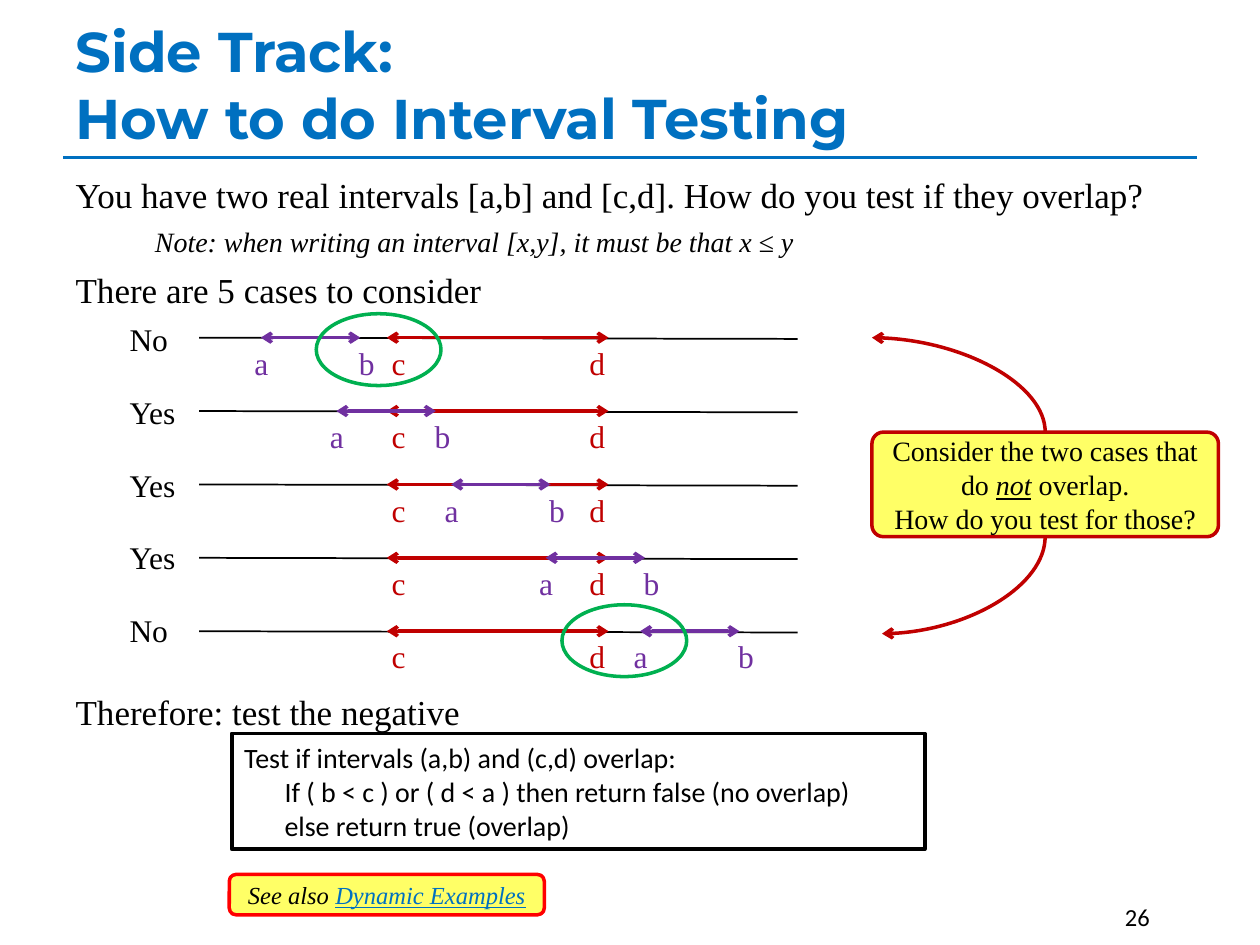
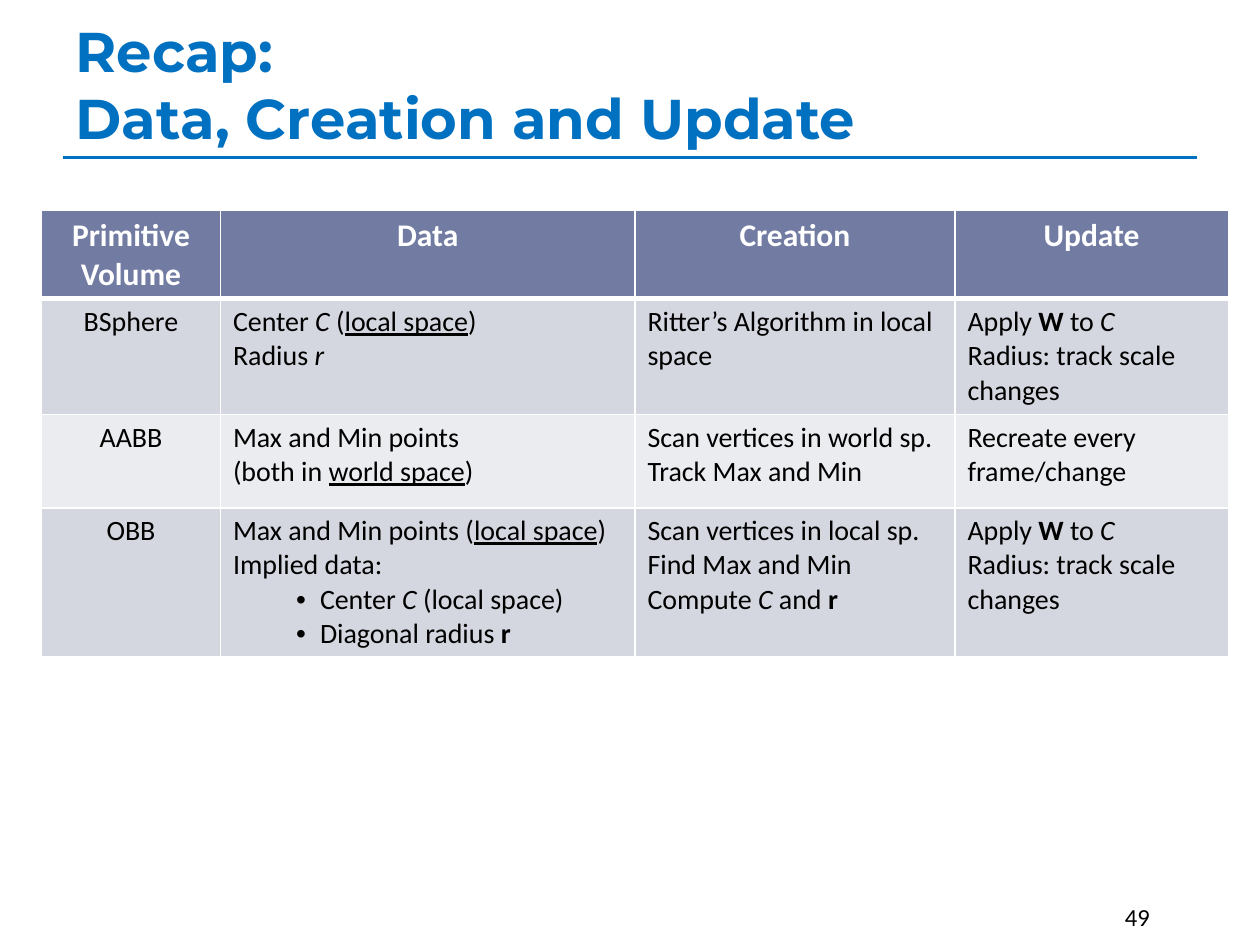
from dataclasses import dataclass, replace

from lxml.etree import SubElement
from pptx import Presentation
from pptx.dml.color import RGBColor
from pptx.enum.shapes import MSO_CONNECTOR as Connector, MSO_SHAPE as Shape
from pptx.enum.text import MSO_ANCHOR as Anchor, MSO_AUTO_SIZE as AutoSize, PP_ALIGN as Align
from pptx.oxml.ns import qn
from pptx.util import Inches, Pt


@dataclass(frozen=True)
class Style:
    """Typeface, size, colour and emphasis of a piece of text."""
    face: str
    size: int
    color: str = "000000"
    marks: str = ""


@dataclass(frozen=True)
class Theme:
    """Colours and type styles of the deck."""
    blue: str = "0070C0"
    red: str = "C00000"
    bright_red: str = "FF0000"
    purple: str = "7030A0"
    green: str = "00B050"
    yellow: str = "FFFF66"
    black: str = "000000"
    white: str = "FFFFFF"
    header_fill: str = "727CA3"
    row_fills: tuple = ("D5D7E0", "EBECF0")
    title: Style = Style("Montserrat", 32, "0070C0", "b")
    number: Style = Style("Calibri", 14)
    body: Style = Style("Times New Roman", 20)
    label: Style = Style("Times New Roman", 18)
    note: Style = Style("Times New Roman", 16)
    see_also: Style = Style("Times New Roman", 14, "000000", "i")
    code: Style = Style("Calibri", 16)
    header: Style = Style("Calibri", 18, "FFFFFF", "b")


@dataclass(frozen=True)
class Box:
    """A rectangle in inches."""
    left: float
    top: float
    width: float
    height: float

    def emu(self):
        """Return the four lengths as Inches."""
        return [Inches(v) for v in (self.left, self.top, self.width, self.height)]


THEME = Theme()
HEADING = Box(0.5, 0.17, 9.42, 1.08)
NUMBER = Box(8.83, 7.11, 0.67, 0.4)
HEADERS = ("Primitive Volume", "Data", "Creation", "Update")
TRACK = [("Apply ", ("W", "b"), " to ", ("C", "i")), ("Radius: track scale changes",)]
VOLUMES = [
    ([("BSphere",)],
     [("Center ", ("C", "i"), " (", ("local space", "u"), ")"), ("Radius ", ("r", "i"))],
     [("Ritter’s Algorithm in local space",)], TRACK),
    ([("AABB",)],
     [("Max and Min points",), ("(both in ", ("world space", "u"), ")")],
     [("Scan vertices in world sp. Track Max and Min",)],
     [("Recreate every frame/change",)]),
    ([("OBB",)],
     [("Max and Min points (", ("local space", "u"), ")"), ("Implied data:",),
      ("•", "Center ", ("C", "i"), " (local space)"),
      ("•", "Diagonal radius ", ("r", "b"))],
     [("Scan vertices in local sp. Find Max and Min",),
      ("Compute ", ("C", "i"), " and ", ("r", "b"))], TRACK),
]
CASES = [("No", 2.07), ("Yes", 2.67), ("Yes", 3.58), ("Yes", 4.33), ("No", 5.08)]


def rgb(color):
    """Turn a hex string into a colour."""
    return RGBColor.from_string(color)


def add_text(paragraph, piece, style):
    """Add one run in the given style."""
    run = paragraph.add_run()
    run.text = piece
    font = run.font
    font.name, font.size, font.color.rgb = style.face, Pt(style.size), rgb(style.color)
    font.bold, font.italic, font.underline = (mark in style.marks for mark in "biu")


def write(paragraph, pieces, style, align=Align.LEFT):
    """Fill a paragraph with plain pieces and (piece, marks) pairs."""
    paragraph.alignment = align
    for piece in pieces:
        if isinstance(piece, str):
            add_text(paragraph, piece, style)
        else:
            add_text(paragraph, piece[0], replace(style, marks=style.marks + piece[1]))


def paragraphs_for(frame, count):
    """Return the given number of paragraphs of an empty frame."""
    return [frame.paragraphs[0]] + [frame.add_paragraph() for _ in range(count - 1)]


def indent(paragraph, left=0.0, hanging=0.0, bullet=None):
    """Set the indent of a paragraph and its bullet, if any."""
    props = paragraph._p.get_or_add_pPr()
    props.set("marL", str(Inches(left)))
    props.set("indent", str(-Inches(hanging)))
    if bullet:
        SubElement(props, qn("a:buFont"), typeface="Arial")
        SubElement(props, qn("a:buChar"), char=bullet)
    else:
        SubElement(props, qn("a:buNone"))


def add_label(slide, box, piece, style):
    """Add a text box with one unwrapped line."""
    frame = slide.shapes.add_textbox(*box.emu()).text_frame
    frame.word_wrap = False
    write(frame.paragraphs[0], [piece], style)
    return frame


def add_panel(slide, kind, box, line, fill=None):
    """Add an outlined shape and return it."""
    panel = slide.shapes.add_shape(kind, *box.emu())
    panel.shadow.inherit = False
    panel.line.color.rgb, panel.line.width = rgb(line), Pt(2)
    if fill:
        panel.fill.solid()
        panel.fill.fore_color.rgb = rgb(fill)
    else:
        panel.fill.background()
    panel.text_frame.word_wrap = True
    panel.text_frame.vertical_anchor = Anchor.MIDDLE
    return panel


def add_line(slide, start, end, color, width=2.0, heads=(), kind=Connector.STRAIGHT):
    """Add a connector, with arrows at the ends named in heads."""
    points = [Inches(v) for v in (*start, *end)]
    connector = slide.shapes.add_connector(kind, *points)
    connector.line.color.rgb, connector.line.width = rgb(color), Pt(width)
    props = connector._element.spPr
    for head in heads:
        SubElement(props.find(qn("a:ln")), qn(f"a:{head}"), type="arrow")
    SubElement(props, qn("a:effectLst"))
    if kind == Connector.CURVE:
        props.find(qn("a:prstGeom")).set("prst", "curvedConnector2")


def add_frame(slide, title_lines, number):
    """Add the title, its rule and the slide number."""
    title = slide.shapes.title
    title.left, title.top, title.width, title.height = HEADING.emu()
    frame = title.text_frame
    frame.vertical_anchor, frame.auto_size = Anchor.BOTTOM, AutoSize.NONE
    heading = frame.paragraphs[0]
    write(heading, title_lines[:1], THEME.title)
    heading.add_line_break()
    write(heading, title_lines[1:], THEME.title)
    rule_y = HEADING.top + HEADING.height
    add_line(slide, (HEADING.left, rule_y), (10 - HEADING.left, rule_y), THEME.blue)
    add_label(slide, NUMBER, number, THEME.number)


def add_question(slide, box):
    """Fill the body placeholder with the question and its answer."""
    body = slide.placeholders[1]
    body.left, body.top, body.width, body.height = box.emu()
    frame = body.text_frame
    frame.auto_size = AutoSize.NONE
    italic_note = replace(THEME.note, marks="i")
    lines = [
        ("You have two real intervals [a,b] and [c,d]. How do you test if they overlap?",
         THEME.body, 0, 6),
        ("Note: when writing an interval [x,y], it must be that x ≤ y", italic_note, 0.63, 5),
        ("There are 5 cases to consider", THEME.body, 0, 6),
        ("Therefore: test the negative", THEME.body, 0, 217),
    ]
    for paragraph, (line, style, left, gap) in zip(paragraphs_for(frame, len(lines)), lines):
        write(paragraph, [line], style)
        paragraph.space_before = Pt(gap)
        indent(paragraph, left)


def add_interval(slide, start, end, y, names, offsets, color):
    """Draw a double arrow with a name under each end."""
    add_line(slide, (start, y), (end, y), color, heads=("headEnd", "tailEnd"))
    for name, x, offset in zip(names, (start, end), offsets):
        add_label(slide, Box(x + offset, y, 0.32, 0.4), name, replace(THEME.label, color=color))


def add_cases(slide, box):
    """Draw the five positions of [a,b] against [c,d], with their answers."""
    step = box.height / (len(CASES) - 1)
    answers = slide.shapes.add_textbox(*Box(box.left - 0.65, box.top - 0.19, 0.57, 2.69).emu())
    answers.text_frame.word_wrap = False
    for row, paragraph in enumerate(paragraphs_for(answers.text_frame, len(CASES))):
        answer, a = CASES[row]
        write(paragraph, [answer], THEME.label)
        paragraph.space_before = Pt(20 if row else 0)
        y = box.top + row * step
        add_line(slide, (box.left, y), (box.left + box.width, y + 0.01), THEME.black, 1)
        add_interval(slide, box.left + 1.49, box.left + 3.25, y, "cd", (-0.06, -0.25), THEME.red)
        add_interval(slide, a, a + 0.79, y, "ab", (-0.15, -0.11), THEME.purple)
    for x, y in ((0.93, -0.19), (2.88, box.height - 0.21)):
        gap = Box(box.left + x, box.top + y, 0.99, 0.57)
        add_panel(slide, Shape.OVAL, gap, THEME.green)


def add_hint(slide, box):
    """Add the callout with curved arrows to the first and last case."""
    callout = add_panel(slide, Shape.ROUNDED_RECTANGLE, box, THEME.red, THEME.yellow)
    callout.adjustments[0] = 0.11
    lines = [("Consider the two cases that do ", ("not", "iu"), " overlap."),
             ("How do you test for those?",)]
    for paragraph, line in zip(paragraphs_for(callout.text_frame, 2), lines):
        write(paragraph, line, THEME.note, Align.CENTER)
    middle, bottom = box.left + box.width / 2, box.top + box.height
    for tip, root in (((box.left, box.top - 0.75), box.top),
                      ((box.left + 0.08, bottom + 0.77), bottom)):
        add_line(slide, tip, (middle, root), THEME.red, heads=("headEnd",), kind=Connector.CURVE)


def add_code(slide, box):
    """Add the box with the overlap test."""
    panel = add_panel(slide, Shape.RECTANGLE, box, THEME.black, THEME.white)
    lines = [("Test if intervals (a,b) and (c,d) overlap:", 0),
             ("If ( b < c ) or ( d < a ) then return false (no overlap)", 0.32),
             ("else return true (overlap)", 0.32)]
    for paragraph, (line, left) in zip(paragraphs_for(panel.text_frame, 3), lines):
        write(paragraph, [line], THEME.code)
        indent(paragraph, left)


def add_see_also(slide, box):
    """Add the pointer to further examples."""
    panel = add_panel(slide, Shape.ROUNDED_RECTANGLE, box, THEME.bright_red, THEME.yellow)
    pointer = panel.text_frame.paragraphs[0]
    write(pointer, ["See also "], THEME.see_also, Align.CENTER)
    add_text(pointer, "Dynamic Examples", replace(THEME.see_also, color=THEME.blue, marks="iu"))


def format_cell(cell, fill, bottom):
    """Give a cell white borders and a fill."""
    props = cell._tc.get_or_add_tcPr()
    for side, width in (("L", 1), ("R", 1), ("T", 1), ("B", bottom)):
        border = SubElement(props, qn(f"a:ln{side}"), w=str(Pt(width)))
        SubElement(SubElement(border, qn("a:solidFill")), qn("a:srgbClr"), val=THEME.white)
    cell.fill.solid()
    cell.fill.fore_color.rgb = rgb(fill)


def add_volumes(slide, box):
    """Add the table of bounding volumes."""
    widths, heights = (1.42, 3.29, 2.54, 2.17), (0.7, 0.92, 0.74, 1.18)
    table = slide.shapes.add_table(len(heights), len(widths), *box.emu()).table
    for column, width in zip(table.columns, widths):
        column.width = Inches(width)
    for row, height in zip(table.rows, heights):
        row.height = Inches(height)
    for col, header in enumerate(HEADERS):
        cell = table.cell(0, col)
        format_cell(cell, THEME.header_fill, 3)
        write(cell.text_frame.paragraphs[0], [header], THEME.header, Align.CENTER)
    for row, volume in enumerate(VOLUMES, 1):
        for col, lines in enumerate(volume):
            cell = table.cell(row, col)
            format_cell(cell, THEME.row_fills[(row - 1) % 2], 1)
            for paragraph, line in zip(paragraphs_for(cell.text_frame, len(lines)), lines):
                bulleted = line[0] == "•"
                write(paragraph, line[1:] if bulleted else line, THEME.code,
                      Align.LEFT if col else Align.CENTER)
                if bulleted:
                    indent(paragraph, 0.69, 0.19, "•")


def main():
    """Build both slides and save the deck."""
    deck = Presentation()
    deck.slide_width, deck.slide_height = Inches(10), Inches(7.5)

    testing = deck.slides.add_slide(deck.slide_layouts[1])
    add_frame(testing, ("Side Track:", "How to do Interval Testing"), "26")
    add_question(testing, Box(0.5, 1.33, 9.42, 5.75))
    add_hint(testing, Box(6.92, 3.43, 2.75, 0.83))
    add_cases(testing, Box(1.58, 2.68, 4.75, 2.33))
    add_code(testing, Box(1.84, 5.82, 5.5, 0.92))
    add_see_also(testing, Box(1.82, 6.94, 2.5, 0.32))

    recap = deck.slides.add_slide(deck.slide_layouts[5])
    add_frame(recap, ("Recap:", "Data, Creation and Update"), "49")
    add_volumes(recap, Box(0.33, 1.67, 9.42, 3.54))

    deck.save("out.pptx")


if __name__ == "__main__":
    main()
